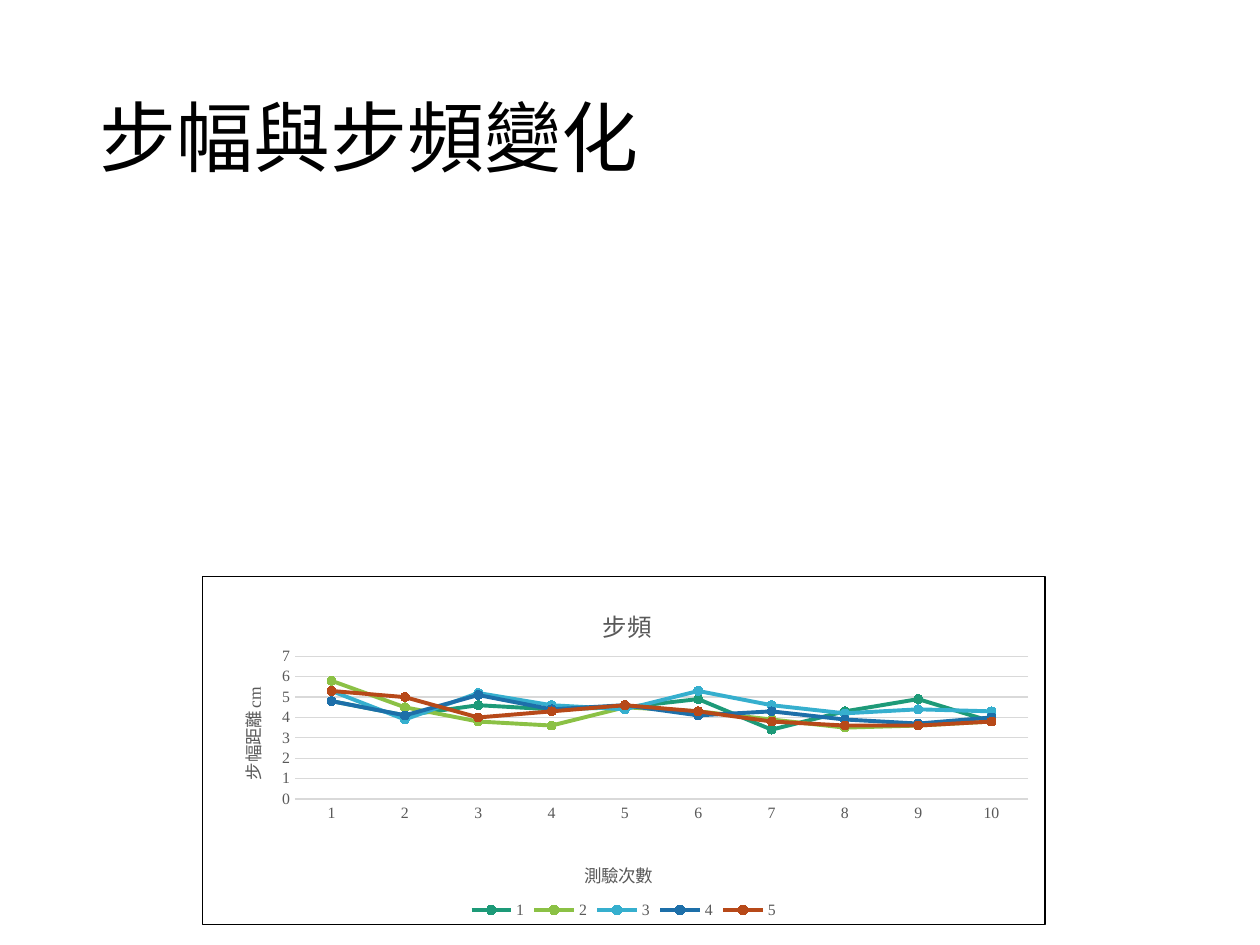
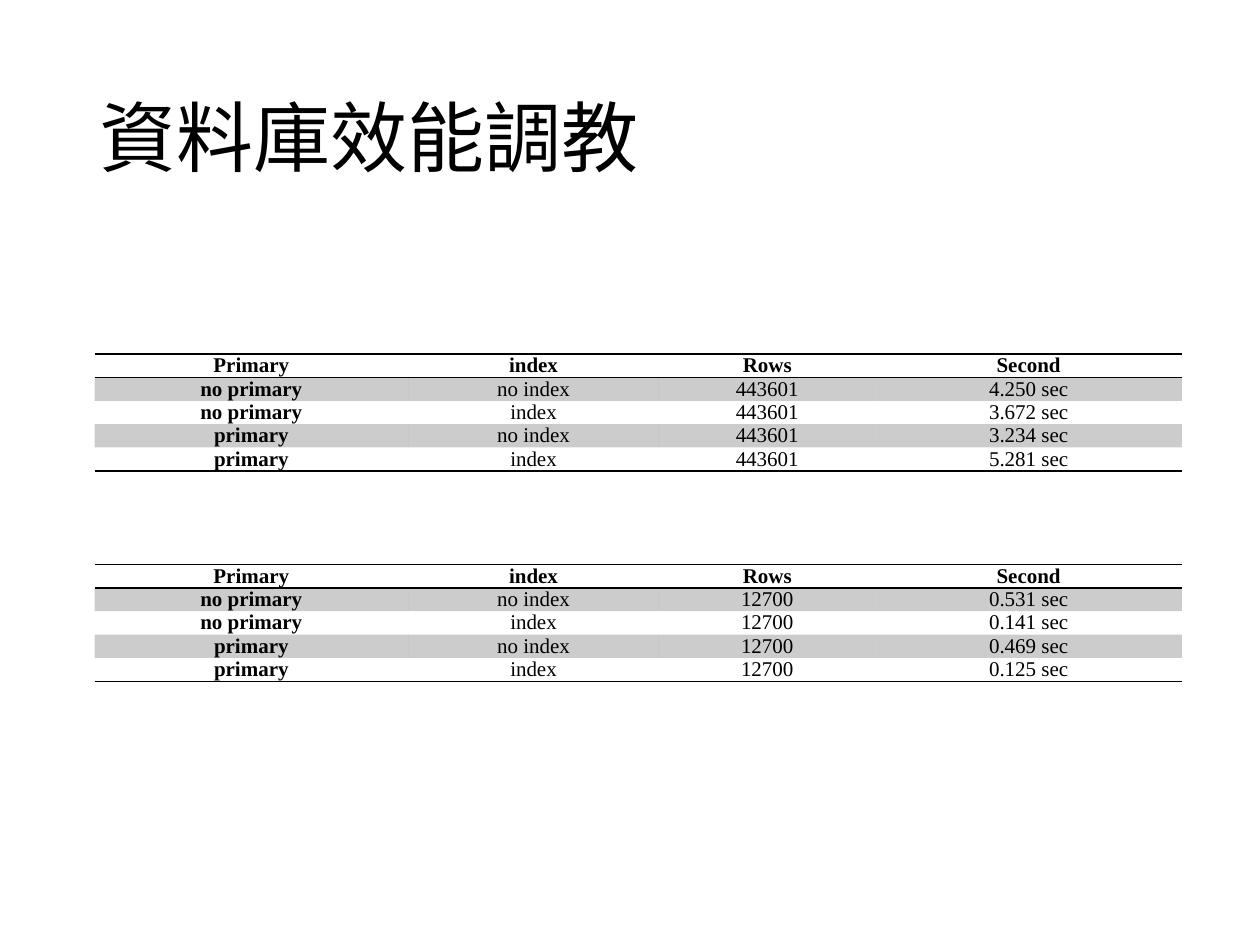
from lxml import etree
from pptx import Presentation
from pptx.chart.data import CategoryChartData
from pptx.dml.color import RGBColor
from pptx.enum.chart import XL_CHART_TYPE, XL_LEGEND_POSITION, XL_MARKER_STYLE, XL_TICK_MARK
from pptx.enum.text import MSO_ANCHOR, PP_ALIGN
from pptx.oxml import parse_xml
from pptx.oxml.ns import nsdecls, qn
from pptx.util import Inches, Pt

LATIN, CJK = "Times New Roman", "Noto Sans CJK SC"
BLACK, WHITE, GREY, GRID = "000000", "FFFFFF", "595959", "D9D9D9"

STRIDE_TITLE = "步幅與步頻變化"
CADENCE_TITLE, TRIAL_LABEL, DISTANCE_LABEL = "步頻", "測驗次數", "步幅距離 cm"
TRIALS = [str(n) for n in range(1, 11)]
WALKERS = [
    ("1", "1D9A78", [4.8, 4.1, 4.6, 4.4, 4.5, 4.9, 3.4, 4.3, 4.9, 3.8]),
    ("2", "8BC145", [5.8, 4.5, 3.8, 3.6, 4.5, 4.3, 3.9, 3.5, 3.6, 3.8]),
    ("3", "36AFCE", [5.3, 3.9, 5.2, 4.6, 4.4, 5.3, 4.6, 4.2, 4.4, 4.3]),
    ("4", "1D6FA9", [4.8, 4.1, 5.1, 4.4, 4.6, 4.1, 4.3, 3.9, 3.7, 4]),
    ("5", "B74919", [5.3, 5, 4, 4.3, 4.6, 4.3, 3.8, 3.6, 3.6, 3.8]),
]

TUNING_TITLE = "資料庫效能調教"
HEADINGS = ["Primary", "index", "Rows", "Second"]
KEY_CHOICES = [("no primary", "no index"), ("no primary", "index"),
               ("primary", "no index"), ("primary", "index")]
TIMINGS = [
    (2.81, "443601", ["4.250 sec", "3.672 sec", "3.234 sec", "5.281 sec"]),
    (4.48, "12700", ["0.531 sec", "0.141 sec", "0.469 sec", "0.125 sec"]),
]
COLUMN_WIDTHS = [2.49, 1.99, 1.72, 2.43]
ROW_HEIGHT = 0.17


def colour(value):
    return RGBColor.from_string(value)


def style_font(font, size, value, bold=False):
    font.name, font.size, font.bold = LATIN, Pt(size), bold
    font.color.rgb = colour(value)


def write(paragraph, text, size, value, bold=False):
    run = paragraph.add_run()
    run.text = text
    style_font(run.font, size, value, bold)
    latin = run.font._element.find(qn("a:latin"))
    latin.addnext(parse_xml(f'<a:ea {nsdecls("a")} typeface="{CJK}"/>'))


def add_titled_slide(deck, text):
    slide = deck.slides.add_slide(deck.slide_layouts[5])
    title = slide.shapes.title
    title.left, title.top, title.width, title.height = map(Inches, (0.69, 0.4, 8.62, 1.45))
    title.text_frame.vertical_anchor = MSO_ANCHOR.MIDDLE
    heading = title.text_frame.paragraphs[0]
    heading.alignment, heading.line_spacing = PP_ALIGN.LEFT, 0.9
    write(heading, text, 44, BLACK)
    return slide


def place(part, index, **fractions):
    for old in part.findall(qn("c:layout")):
        part.remove(old)
    target = '<c:layoutTarget val="inner"/>' if "w" in fractions else ""
    modes = "".join(f'<c:{key}Mode val="edge"/>' for key in "xy")
    values = "".join(f'<c:{key} val="{value}"/>' for key, value in fractions.items())
    part.insert(index, parse_xml(
        f'<c:layout {nsdecls("c")}><c:manualLayout>{target}{modes}{values}'
        '</c:manualLayout></c:layout>'))


def label(chart_title, text, size, x, y):
    write(chart_title.text_frame.paragraphs[0], text, size, GREY)
    place(chart_title._element, 1, x=x, y=y)


def add_cadence_chart(slide):
    data = CategoryChartData()
    data.categories = TRIALS
    for name, _, strides in WALKERS:
        data.add_series(name, strides)
    chart = slide.shapes.add_chart(
        XL_CHART_TYPE.LINE_MARKERS, Inches(1.6), Inches(4.57), Inches(6.7), Inches(2.77), data).chart
    style_font(chart.font, 10, BLACK)
    chart._chartSpace.find(qn("c:chart")).addnext(parse_xml(
        f'<c:spPr {nsdecls("c", "a")}><a:solidFill><a:srgbClr val="{WHITE}"/></a:solidFill>'
        f'<a:ln w="{Pt(0.75)}"><a:solidFill><a:srgbClr val="{BLACK}"/></a:solidFill></a:ln></c:spPr>'))

    chart.has_title = chart.has_legend = True
    label(chart.chart_title, CADENCE_TITLE, 14, 0.47, 0.07)
    chart.legend.position = XL_LEGEND_POSITION.BOTTOM
    chart.legend.include_in_layout = False
    style_font(chart.legend.font, 9, GREY)

    trials, distance = chart.category_axis, chart.value_axis
    for axis in (trials, distance):
        axis.major_tick_mark = axis.minor_tick_mark = XL_TICK_MARK.NONE
        style_font(axis.tick_labels.font, 9, GREY)
    label(trials.axis_title, TRIAL_LABEL, 10, 0.45, 0.81)
    label(distance.axis_title, DISTANCE_LABEL, 10, 0.04, 0.31)
    turned = distance.axis_title._element.find(".//" + qn("a:bodyPr"))
    turned.set("rot", "-5400000")
    turned.set("vert", "horz")
    distance.minimum_scale, distance.maximum_scale, distance.major_unit = 0, 7, 1
    distance.format.line.fill.background()
    for line in (trials.format.line, distance.major_gridlines.format.line):
        line.color.rgb, line.width = colour(GRID), Pt(0.75)

    plot = chart.plots[0]
    plot.vary_by_categories = False
    place(chart._chartSpace.find(".//" + qn("c:plotArea")), 0, x=0.11, y=0.23, w=0.87, h=0.41)
    for series, (_, hue, _) in zip(plot.series, WALKERS):
        series.smooth = False
        series.format.line.color.rgb, series.format.line.width = colour(hue), Pt(2.25)
        series.marker.style, series.marker.size = XL_MARKER_STYLE.CIRCLE, 5
        series.marker.format.fill.solid()
        series.marker.format.fill.fore_color.rgb = colour(hue)
        series.marker.format.line.color.rgb = colour(hue)


def set_borders(cell, ruled):
    properties = cell._tc.get_or_add_tcPr()
    for index, side in enumerate("LRTB"):
        paint = (f'<a:solidFill><a:srgbClr val="{BLACK}"/></a:solidFill>'
                 if side in ruled else "<a:noFill/>")
        properties.insert(index, parse_xml(
            f'<a:ln{side} {nsdecls("a")} w="{Pt(1)}">{paint}</a:ln{side}>'))


def add_timing_table(slide, top, row_count, seconds):
    records = [HEADINGS] + [[*keys, row_count, time] for keys, time in zip(KEY_CHOICES, seconds)]
    table = slide.shapes.add_table(
        len(records), len(HEADINGS), Inches(0.75), Inches(top),
        Inches(sum(COLUMN_WIDTHS)), Inches(ROW_HEIGHT * len(records))).table
    table.first_row = table.horz_banding = False
    for column, width in zip(table.columns, COLUMN_WIDTHS):
        column.width = Inches(width)
    for r, record in enumerate(records):
        table.rows[r].height = Inches(ROW_HEIGHT)
        ruled = {0: "TB", 1: "T", len(records) - 1: "B"}.get(r, "")
        for c, text in enumerate(record):
            cell = table.cell(r, c)
            cell.margin_left = cell.margin_right = Inches(0.01)
            cell.margin_top = cell.margin_bottom = 0
            cell.vertical_anchor = MSO_ANCHOR.MIDDLE
            paragraph = cell.text_frame.paragraphs[0]
            paragraph.alignment = PP_ALIGN.CENTER
            write(paragraph, text, 12, BLACK, bold=r == 0 or c == 0)
            if r % 2:
                cell.fill.solid()
                cell.fill.fore_color.rgb = colour(BLACK)
                shade = cell._tc.tcPr.find(".//" + qn("a:srgbClr"))
                etree.SubElement(shade, qn("a:alpha"), val="20000")
            else:
                cell.fill.background()
            set_borders(cell, ruled)


def main():
    deck = Presentation()
    deck.slide_width, deck.slide_height = Inches(10), Inches(7.5)
    add_cadence_chart(add_titled_slide(deck, STRIDE_TITLE))
    tuning = add_titled_slide(deck, TUNING_TITLE)
    for top, row_count, seconds in TIMINGS:
        add_timing_table(tuning, top, row_count, seconds)
    deck.save("out.pptx")


if __name__ == "__main__":
    main()
